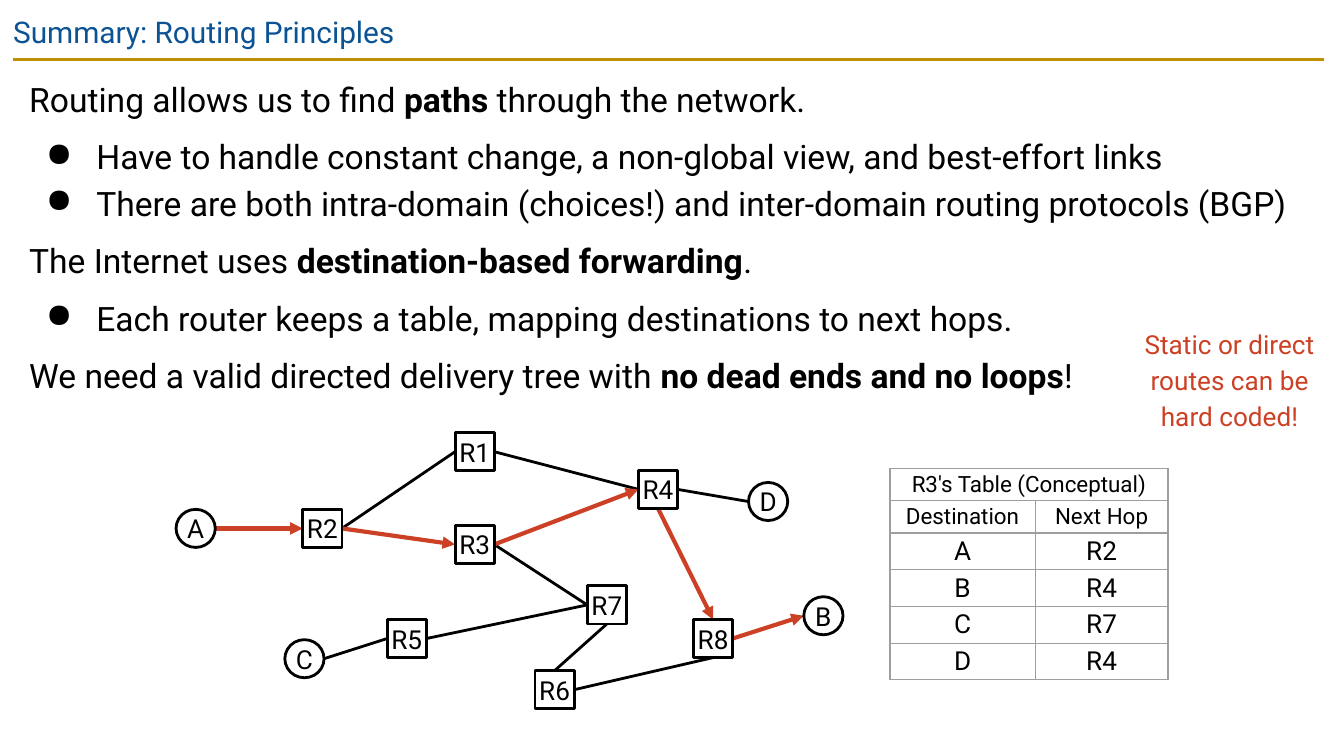
import lxml.etree
import pptx
import pptx.dml.color
import pptx.enum.shapes
import pptx.enum.text
import pptx.oxml
import pptx.oxml.ns
import pptx.util

Pt = pptx.util.Pt
SHAPES = pptx.enum.shapes.MSO_SHAPE
CENTER = pptx.enum.text.PP_ALIGN.CENTER
MIDDLE = pptx.enum.text.MSO_ANCHOR.MIDDLE
FONT = "Roboto"
BLACK, WHITE, RED = "000000", "FFFFFF", "CC4125"
BLUE, GOLD, GRAY = "0B5394", "BF9000", "9E9E9E"
NODE_W, NODE_H = 21, 20.4

# (text, is bullet, space before); ** marks bold
SUMMARY = [
    ("Routing allows us to find **paths** through the network.", False, 0),
    ("Have to handle constant change, a non-global view, and best-effort links", True, 6),
    ("There are both intra-domain (choices!) and inter-domain routing protocols (BGP)", True, 0),
    ("The Internet uses **destination-based forwarding**.", False, 6),
    ("Each router keeps a table, mapping destinations to next hops.", True, 6),
    ("We need a valid directed delivery tree with **no dead ends and no loops**!", False, 6),
]

# left and top of each node
ROUTERS = {
    "R1": (243.8, 231.8), "R2": (162.2, 272.9), "R3": (243.8, 281.5), "R4": (342, 252),
    "R5": (207.4, 331.9), "R6": (286.6, 359.3), "R7": (314.6, 313.9), "R8": (371.5, 331.9),
}
HOSTS = {"A": (94.3, 272.9), "B": (430.6, 319.7), "C": (152.6, 342.7), "D": (401, 258.5)}
SIDES = {"left": (0, 0.5), "right": (1, 0.5), "top": (0.5, 0), "bottom": (0.5, 1)}

# (node, side, node, side)
LINKS = [
    ("R2", "right", "R1", "left"), ("R1", "right", "R4", "left"),
    ("R3", "right", "R7", "left"), ("R5", "right", "R7", "left"),
    ("C", "right", "R5", "left"), ("R7", "bottom", "R6", "top"),
    ("R8", "bottom", "R6", "right"), ("R4", "right", "D", "left"),
]
ROUTE_TO_B = [
    ("A", "right", "R2", "left"), ("R2", "right", "R3", "left"),
    ("R3", "right", "R4", "left"), ("R4", "bottom", "R8", "top"),
    ("R8", "right", "B", "left"),
]
NEXT_HOPS = [("R3's Table (Conceptual)", ""), ("Destination", "Next Hop"),
             ("A", "R2"), ("B", "R4"), ("C", "R7"), ("D", "R4")]


def rgb(color):
    return pptx.dml.color.RGBColor.from_string(color)


def set_font(paragraph, size, color):
    paragraph.font.name = FONT
    paragraph.font.size = Pt(size)
    paragraph.font.color.rgb = rgb(color)


def set_margins(target, horizontal, vertical):
    target.margin_left = target.margin_right = Pt(horizontal)
    target.margin_top = target.margin_bottom = Pt(vertical)


def add_text_frame(slide, left, top, width, height, margin):
    frame = slide.shapes.add_textbox(Pt(left), Pt(top), Pt(width), Pt(height)).text_frame
    frame.word_wrap = True
    set_margins(frame, margin, margin)
    return frame


def add_bullet(paragraph):
    properties = paragraph._p.get_or_add_pPr()
    properties.set("marL", str(Pt(36)))
    properties.set("indent", str(Pt(-27)))
    bullet = lxml.etree.SubElement(properties, pptx.oxml.ns.qn("a:buChar"))
    bullet.set("char", "●")


def add_summary(slide):
    frame = add_text_frame(slide, 8.6, 31.7, 701.3, 356.4, 7.2)
    for index, (text, is_bullet, space_before) in enumerate(SUMMARY):
        paragraph = frame.add_paragraph() if index else frame.paragraphs[0]
        if is_bullet:
            add_bullet(paragraph)
        paragraph.line_spacing = 1.15
        paragraph.space_before = Pt(space_before)
        set_font(paragraph, 18, BLACK)
        for part, words in enumerate(text.split("**")):
            run = paragraph.add_run()
            run.text = words
            if part % 2:
                run.font.bold = True


def add_line(slide, start, end, color, width, arrow=False):
    line = slide.shapes.add_connector(
        pptx.enum.shapes.MSO_CONNECTOR.STRAIGHT, *(Pt(v) for v in (*start, *end)))
    line.line.color.rgb = rgb(color)
    line.line.width = Pt(width)
    if arrow:
        tail = lxml.etree.SubElement(line.line._get_or_add_ln(), pptx.oxml.ns.qn("a:tailEnd"))
        tail.set("type", "triangle")
    lxml.etree.SubElement(line._element.spPr, pptx.oxml.ns.qn("a:effectLst"))


def side_point(name, side):
    left, top = (ROUTERS | HOSTS)[name]
    across, down = SIDES[side]
    return left + across * NODE_W, top + down * NODE_H


def add_links(slide, links, color, width, arrow):
    for source, source_side, target, target_side in links:
        add_line(slide, side_point(source, source_side), side_point(target, target_side),
                 color, width, arrow)


def add_nodes(slide, nodes, outline):
    for name, (left, top) in nodes.items():
        node = slide.shapes.add_shape(outline, Pt(left), Pt(top), Pt(NODE_W), Pt(NODE_H))
        node.shadow.inherit = False
        node.fill.solid()
        node.fill.fore_color.rgb = rgb(WHITE)
        node.line.color.rgb = rgb(BLACK)
        node.line.width = Pt(1.5)
        frame = node.text_frame
        set_margins(frame, 0, 0)
        frame.vertical_anchor = MIDDLE
        label = frame.paragraphs[0]
        label.text = name
        label.alignment = CENTER
        set_font(label, 14, BLACK)


def add_borders(cell):
    properties = cell._tc.get_or_add_tcPr()
    for edge in ("lnL", "lnR", "lnT", "lnB"):
        properties.append(pptx.oxml.parse_xml(
            f'<a:{edge} {pptx.oxml.ns.nsdecls("a")} w="{Pt(0.75)}">'
            f'<a:solidFill><a:srgbClr val="{GRAY}"/></a:solidFill></a:{edge}>'))


def add_routing_table(slide):
    columns, heights = (77.8, 71.2), [16.9] * 2 + [19.3] * 4
    table = slide.shapes.add_table(
        len(heights), len(columns), Pt(476.8), Pt(251),
        Pt(sum(columns)), Pt(sum(heights))).table
    table.first_row = table.horz_banding = False
    for column, width in zip(table.columns, columns):
        column.width = Pt(width)
    table.cell(0, 0).merge(table.cell(0, 1))
    for r, (height, entries) in enumerate(zip(heights, NEXT_HOPS)):
        table.rows[r].height = Pt(height)
        for c, entry in enumerate(entries):
            cell = table.cell(r, c)
            set_margins(cell, 0, 1.44)
            cell.vertical_anchor = MIDDLE
            add_borders(cell)
            cell.fill.background()
            paragraph = cell.text_frame.paragraphs[0]
            paragraph.text = entry
            paragraph.alignment = CENTER
            set_font(paragraph, 12 if r < 2 else 14, BLACK)


def main():
    deck = pptx.Presentation()
    deck.slide_width, deck.slide_height = Pt(720), Pt(405)
    slide = deck.slides.add_slide(deck.slide_layouts[6])

    add_line(slide, (7.2, 31.9), (709.2, 31.9), GOLD, 1.5)
    title = add_text_frame(slide, 0, 0, 720, 31, 7.2).paragraphs[0]
    title.text = "Summary: Routing Principles"
    set_font(title, 16, BLUE)
    add_summary(slide)

    add_links(slide, LINKS, BLACK, 1.5, False)
    add_links(slide, ROUTE_TO_B, RED, 2.25, True)
    add_nodes(slide, ROUTERS, SHAPES.RECTANGLE)
    add_nodes(slide, HOSTS, SHAPES.OVAL)
    add_routing_table(slide)

    remark = add_text_frame(slide, 602.6, 173.5, 112.3, 56.2, 0).paragraphs[0]
    remark.text = "Static or direct routes can be hard coded!"
    remark.alignment = CENTER
    remark.line_spacing = 1.15
    set_font(remark, 14, RED)

    deck.save("out.pptx")


if __name__ == "__main__":
    main()
